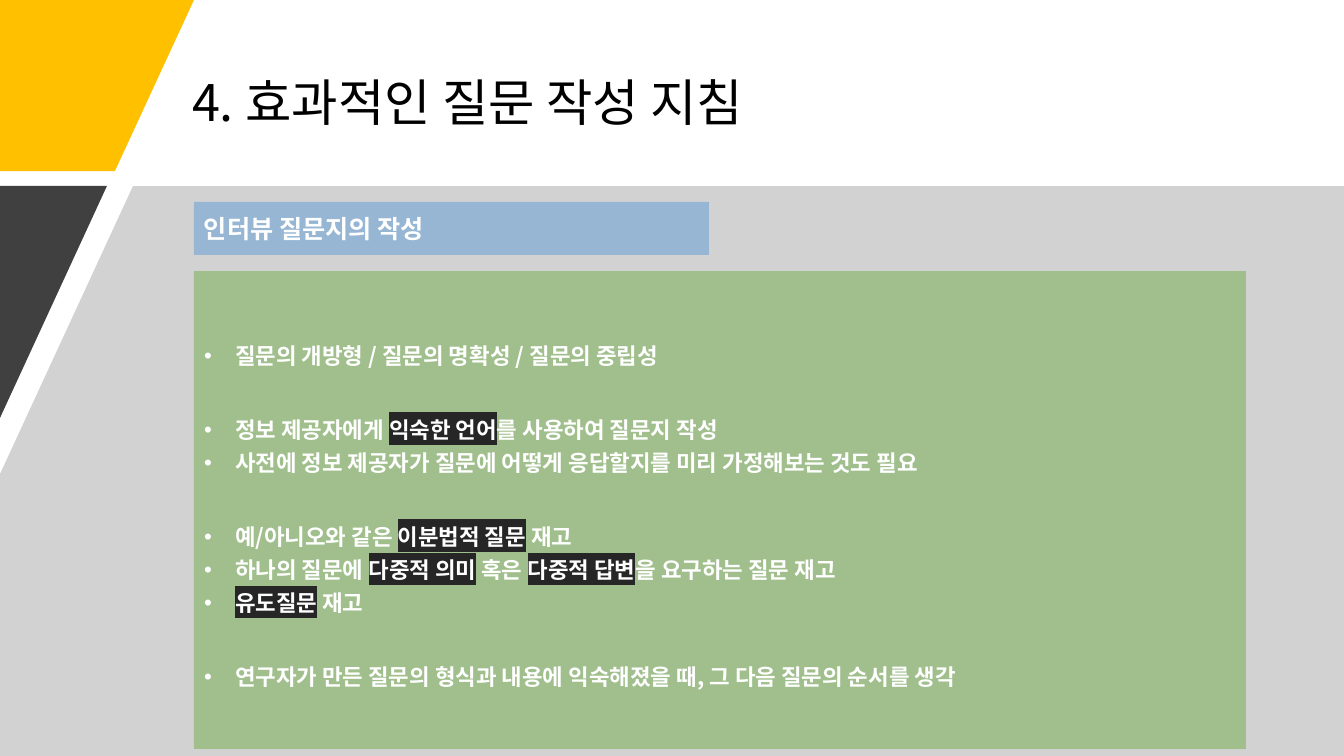
from lxml import etree
from pptx import Presentation
from pptx import util as u
from pptx.dml import color
from pptx.enum import shapes, text
from pptx.oxml import ns

PIXEL = u.Inches(1) / 100.8
FONT = "Noto Sans CJK KR"
MARK = "262626"


def paint(fill, tint, opacity=100):
    """Make a fill solid in a hex colour, with an opacity in percent."""
    fill.solid()
    fill.fore_color.rgb = color.RGBColor.from_string(tint)
    if opacity < 100:
        tone = fill._xPr.find(ns.qn("a:solidFill"))[0]
        etree.SubElement(tone, ns.qn("a:alpha"), val=str(opacity * 1000))


def style(paragraph, size, tint, bold=False):
    """Set the font of a left-aligned paragraph, for Latin and Korean."""
    paragraph.alignment = text.PP_ALIGN.LEFT
    font = paragraph.font
    font.size, font.bold, font.name = u.Pt(size), bold, FONT
    paint(font.fill, tint)
    defaults = paragraph._p.pPr.find(ns.qn("a:defRPr"))
    etree.SubElement(defaults, ns.qn("a:ea"), typeface=FONT)


deck = Presentation()
deck.slide_width, deck.slide_height = round(1344 * PIXEL), round(756 * PIXEL)
page = deck.slides.add_slide(deck.slide_layouts[1])
title, guidelines = page.placeholders
label = page.shapes.add_shape(shapes.MSO_SHAPE.RECTANGLE, 0, 0, 0, 0)
label.shadow.inherit = False
label.line.fill.background()

for box, area in (
    (title, (182, 40, 1032, 131)),
    (guidelines, (194, 271, 1052, 478)),
    (label, (194, 202, 515, 53)),
):
    box.left, box.top, box.width, box.height = (round(n * PIXEL) for n in area)
    box.text_frame.word_wrap = True
    box.text_frame.auto_size = text.MSO_AUTO_SIZE.NONE
    box.text_frame.vertical_anchor = text.MSO_ANCHOR.MIDDLE

# Background: yellow corner, grey panel, dark triangle
for points, tint, opacity in (
    ([(0, 0), (194, 0), (115, 171), (0, 171)], "FFC000", 100),
    ([(133, 186), (1344, 186), (1344, 756), (0, 756), (0, 474)], "A6A6A6", 50),
    ([(0, 186), (107, 186), (0, 418)], "404040", 100),
):
    outline = page.shapes.build_freeform(*points[0], scale=PIXEL)
    outline.add_line_segments(points[1:])
    piece = outline.convert_to_shape()
    piece.shadow.inherit = False
    piece.line.fill.background()
    paint(piece.fill, tint, opacity)

# The two boxes stand in front of the panel
for box, tint in ((guidelines, "70AD47"), (label, "5B9BD5")):
    paint(box.fill, tint, 50)
    page.shapes._spTree.append(box._element)

title.text_frame.text = "4. 효과적인 질문 작성 지침"
heading = title.text_frame.paragraphs[0]
heading.line_spacing = 0.9
style(heading, 36, "000000")

label.text_frame.text = "인터뷰 질문지의 작성"
style(label.text_frame.paragraphs[0], 18, "FFFFFF", bold=True)

# Groups of guidelines; every second span of a line is highlighted
groups = [
    [["질문의 개방형 / 질문의 명확성 / 질문의 중립성"]],
    [
        ["정보 제공자에게 ", "익숙한 언어", "를 사용하여 질문지 작성"],
        ["사전에 정보 제공자가 질문에 어떻게 응답할지를 미리 가정해보는 것도 필요"],
    ],
    [
        ["예/아니오와 같은 ", "이분법적 질문", " 재고"],
        ["하나의 질문에 ", "다중적 의미", " 혹은 ", "다중적 답변", "을 요구하는 질문 재고"],
        ["", "유도질문", " 재고"],
    ],
    [["연구자가 만든 질문의 형식과 내용에 익숙해졌을 때, 그 다음 질문의 순서를 생각"]],
]
frame = guidelines.text_frame
frame.margin_top = round(11 * PIXEL)
paragraph = frame.paragraphs[0]
for group_index, group in enumerate(groups):
    for line_index, spans in enumerate(group):
        if group_index or line_index:
            paragraph = frame.add_paragraph()
        opens_group = group_index > 0 and line_index == 0
        paragraph.space_before = u.Pt(28.8 if opens_group else 0)
        paragraph.line_spacing = 1.24
        style(paragraph, 16, "FFFFFF", bold=True)
        paragraph._p.pPr.set("marL", str(round(31 * PIXEL)))
        paragraph._p.pPr.set("indent", str(round(-31 * PIXEL)))
        for span_index, words in enumerate(spans):
            if not words:
                continue
            span = paragraph.add_run()
            span.text = words
            if span_index % 2:
                highlight = etree.SubElement(span._r.get_or_add_rPr(), ns.qn("a:highlight"))
                etree.SubElement(highlight, ns.qn("a:srgbClr"), val=MARK)

deck.save("out.pptx")
